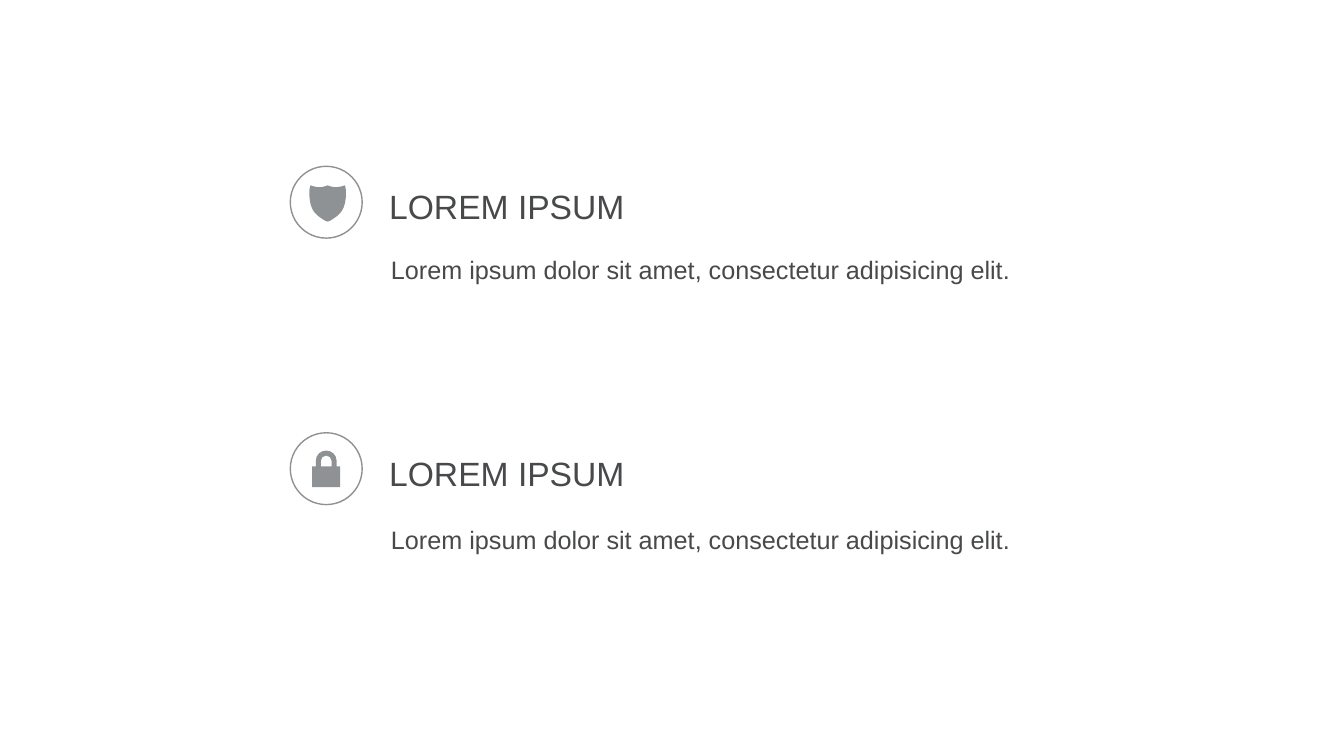
from dataclasses import dataclass

from lxml import etree
from pptx import Presentation, util as u
from pptx.dml.color import RGBColor
from pptx.enum import shapes, text
from pptx.oxml.ns import qn


@dataclass(frozen=True)
class Theme:
    font: str = "Arial"
    icon: RGBColor = RGBColor(0x8F, 0x92, 0x95)
    ink: RGBColor = RGBColor(0x47, 0x49, 0x4B)
    title_size: int = 24
    body_size: int = 18
    outline: int = 1


SHIELD = [
    (52, (0, 26.5), [
        [(0, 26.5), (6, 29.2), (11, 29.2)],
        [(17, 29.2), (24, 26.5), (24, 26.5)],
        [(24, 26.5), (25.5, 31), (25.5, 36.5)],
        [(25.5, 53.5), (21, 63), (14, 68.5)],
        [(10, 71.5), (3, 77), (0, 77)],
    ]),
]
LOCK = [
    (50, (0, 24.8), [
        [(7.5, 24.8), (14.5, 30.5), (14.5, 39)],
        [(14.5, 47)], [(19.5, 47)], [(19.5, 75.5)],
    ]),
    (50, (0, 31.8), [
        [(4, 31.8), (7.5, 34.8), (7.5, 39)],
        [(7.5, 47)],
    ]),
]


def mirrored(axis, start, half):
    ends = [start] + [segment[-1] for segment in half]
    right = [[(axis + x, y) for x, y in segment] for segment in half]
    left = [[(axis - x, y) for x, y in segment[-2::-1] + [end]]
            for segment, end in zip(reversed(half), reversed(ends[:-1]))]
    x, y = ends[-1]
    base = [[(axis - x, y)]] if x else []
    return (axis + start[0], start[1]), right + base + left


class SlideBuilder:
    def __init__(self, presentation, theme):
        self.theme = theme
        self.slide = presentation.slides.add_slide(presentation.slide_layouts[6])
        self.column = presentation.slide_width / 100
        self.row = presentation.slide_height / 100

    def place(self, left, top, width, height):
        return [round(value * unit) for value, unit in
                zip((left, top, width, height), (self.column, self.row) * 2)]

    def ring(self, *area):
        shape = self.slide.shapes.add_shape(shapes.MSO_SHAPE.OVAL, *self.place(*area))
        shape.shadow.inherit = False
        shape.fill.background()
        shape.line.color.rgb = self.theme.icon
        shape.line.width = u.Pt(self.theme.outline)

    def icon(self, contours, *area):
        left, top, width, height = self.place(*area)

        def position(point):
            return left + point[0] * width / 100, top + point[1] * height / 100

        outlines = [mirrored(*contour) for contour in contours]
        builder = self.slide.shapes.build_freeform(*position(outlines[0][0]))
        for index, (start, segments) in enumerate(outlines):
            if index:
                builder.move_to(*position(start))
            builder.add_line_segments([position(segment[-1]) for segment in segments])
        shape = builder.convert_to_shape()
        shape.shadow.inherit = False
        shape.fill.solid()
        shape.fill.fore_color.rgb = self.theme.icon
        shape.line.fill.background()
        lines = list(shape.element.iter(qn("a:lnTo")))
        segments = [segment for _, outline in outlines for segment in outline]
        for line, segment in zip(lines, segments):
            if len(segment) == 3:
                self.bend(line, [position(point) for point in segment[:2]], shape)

    def bend(self, line, controls, shape):
        curve = etree.Element(qn("a:cubicBezTo"))
        for x, y in controls:
            etree.SubElement(curve, qn("a:pt"), x=str(round(x - shape.left)),
                             y=str(round(y - shape.top)))
        curve.append(line[0])
        line.getparent().replace(line, curve)

    def label(self, wording, area, size, spacing, anchor):
        frame = self.slide.shapes.add_textbox(*self.place(*area)).text_frame
        frame.word_wrap = True
        frame.vertical_anchor = anchor
        paragraph = frame.paragraphs[0]
        paragraph.line_spacing = spacing
        run = paragraph.add_run()
        run.text = wording
        run.font.name = self.theme.font
        run.font.size = u.Pt(size)
        run.font.color.rgb = self.theme.ink


def main():
    presentation = Presentation()
    presentation.slide_width = u.Inches(13.33)
    presentation.slide_height = u.Inches(7.5)
    theme = Theme()
    builder = SlideBuilder(presentation, theme)
    for index, contours in enumerate((SHIELD, LOCK)):
        top = 22 + index * 35.25
        badge = (21.6, top, 5.35, 9.5)
        builder.icon(contours, *badge)
        builder.ring(*badge)
        builder.label("LOREM IPSUM", (28.22, top - 0.65, 50.2, 10.8),
                      theme.title_size, 1.2, text.MSO_ANCHOR.MIDDLE)
        builder.label("Lorem ipsum dolor sit amet, consectetur adipisicing elit.",
                      (28.35, 31.05 + index * 35.65, 50.05, 12.65),
                      theme.body_size, 1.5, text.MSO_ANCHOR.TOP)
    presentation.save("out.pptx")


if __name__ == "__main__":
    main()
